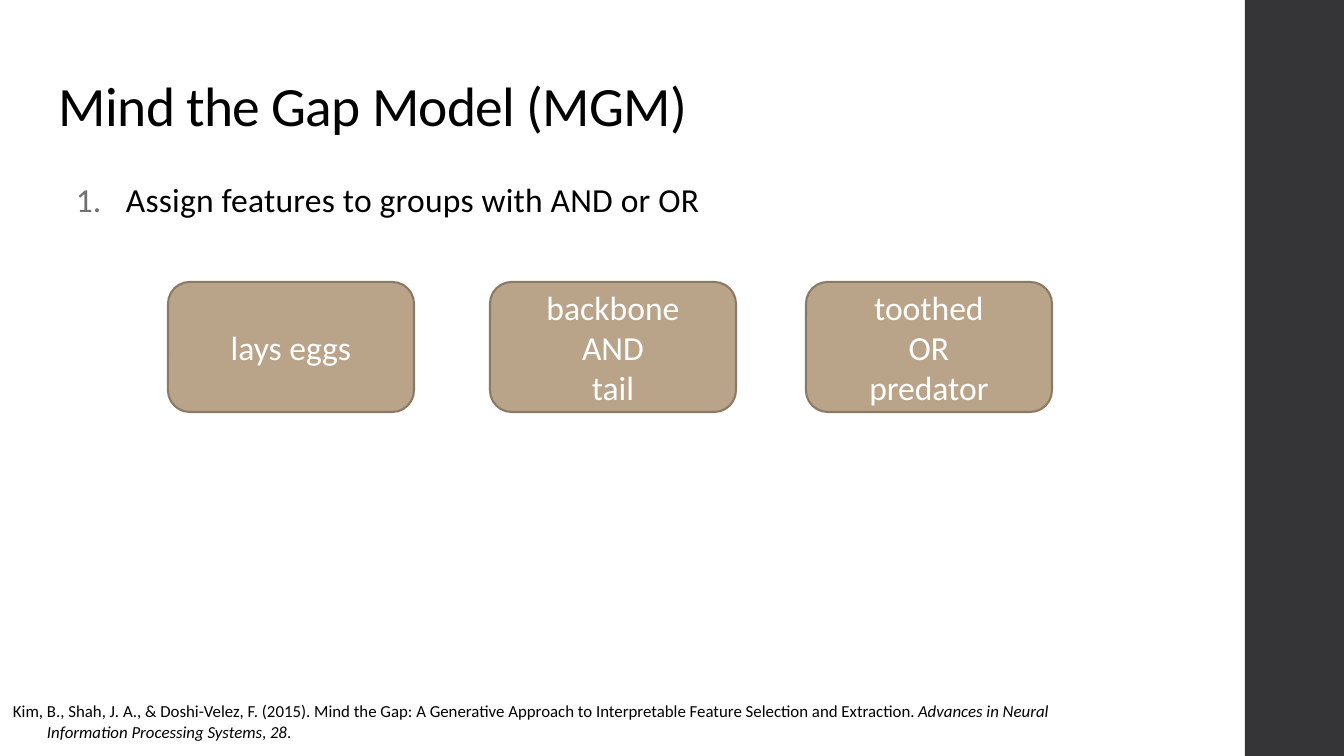
"""Build the Mind the Gap Model slide about grouping features."""
from lxml import etree
from pptx import Presentation
from pptx.dml.color import RGBColor
from pptx.enum.shapes import MSO_SHAPE
from pptx.enum.text import MSO_ANCHOR, PP_ALIGN
from pptx.oxml.ns import qn
from pptx.util import Pt

PX = 914400 / 134.4
RECT, ROUNDED = MSO_SHAPE.RECTANGLE, MSO_SHAPE.ROUNDED_RECTANGLE
MIDDLE, CENTER = MSO_ANCHOR.MIDDLE, PP_ALIGN.CENTER
BLACK = RGBColor(0x00, 0x00, 0x00)
WHITE = RGBColor(0xFF, 0xFF, 0xFF)
CHARCOAL = RGBColor(0x35, 0x35, 0x37)
TAN = RGBColor(0xB9, 0xA4, 0x89)
BROWN = RGBColor(0x89, 0x79, 0x65)
NUMBER_GREY = "6F6F74"


def px(n):
    return round(n * PX)


def add_text(s, x, y, w, h, runs, size, indent=0, hang=0, spacing=0):
    tf = s.shapes.add_textbox(px(x), px(y), px(w), px(h)).text_frame
    tf.word_wrap = True
    tf.margin_left = tf.margin_top = tf.margin_right = tf.margin_bottom = px(13)
    p = tf.paragraphs[0]
    pPr = p._p.get_or_add_pPr()
    pPr.set("marL", str(px(indent)))
    pPr.set("indent", str(px(-hang)))
    for text, italic in runs:
        r = p.add_run()
        r.text = text
        r.font.name, r.font.size = "Calibri", Pt(size)
        r.font.italic, r.font.color.rgb = italic, BLACK
        if spacing:
            r.font._element.set("spc", str(spacing))
    return p


prs = Presentation()
prs.slide_width, prs.slide_height = px(1344), px(756)
s = prs.slides.add_slide(prs.slide_layouts[6])

sp = s.shapes.add_shape(RECT, px(1245), 0, px(99), px(756))
sp.shadow.inherit = False
sp.fill.solid()
sp.fill.fore_color.rgb = CHARCOAL
sp.line.fill.background()

p = add_text(s, 46, 66, 1253, 85, [("Mind the Gap Model (MGM)", False)], 29.7,
             spacing=-40)
p.line_spacing = 0.9

p = add_text(s, 46, 169, 1253, 503,
             [("Assign features to groups with AND or OR", False)], 18,
             indent=67, hang=50, spacing=10)
pPr = p._p.get_or_add_pPr()
color = etree.SubElement(pPr, qn("a:buClr"))
etree.SubElement(color, qn("a:srgbClr"), val=NUMBER_GREY)
etree.SubElement(pPr, qn("a:buFont"), typeface="Calibri")
etree.SubElement(pPr, qn("a:buAutoNum"), type="arabicPeriod")
p.line_spacing = 0.95

GROUPS = [(168, "lays eggs"), (490, "backbone\nAND\ntail"),
          (806, "toothed\nOR\npredator")]
for x, label in GROUPS:
    sp = s.shapes.add_shape(ROUNDED, px(x), px(282), px(246), px(130))
    sp.shadow.inherit = False
    sp.fill.solid()
    sp.fill.fore_color.rgb = TAN
    sp.line.color.rgb, sp.line.width = BROWN, Pt(1.1)
    tf = sp.text_frame
    tf.text = label
    tf.word_wrap, tf.vertical_anchor = True, MIDDLE
    for p in tf.paragraphs:
        p.alignment = CENTER
        font = p.runs[0].font
        font.name, font.size, font.color.rgb = "Calibri", Pt(18), WHITE

CITATION = [
    ("Kim, B., Shah, J. A., & Doshi-Velez, F. (2015). Mind the Gap: A Generative "
     "Approach to Interpretable Feature Selection and Extraction. ", False),
    ("Advances in Neural Information Processing Systems", True),
    (", ", False), ("28", True), (".", False),
]
add_text(s, 0, 688, 1141, 68, CITATION, 9, indent=34, hang=34)

prs.save("out.pptx")
